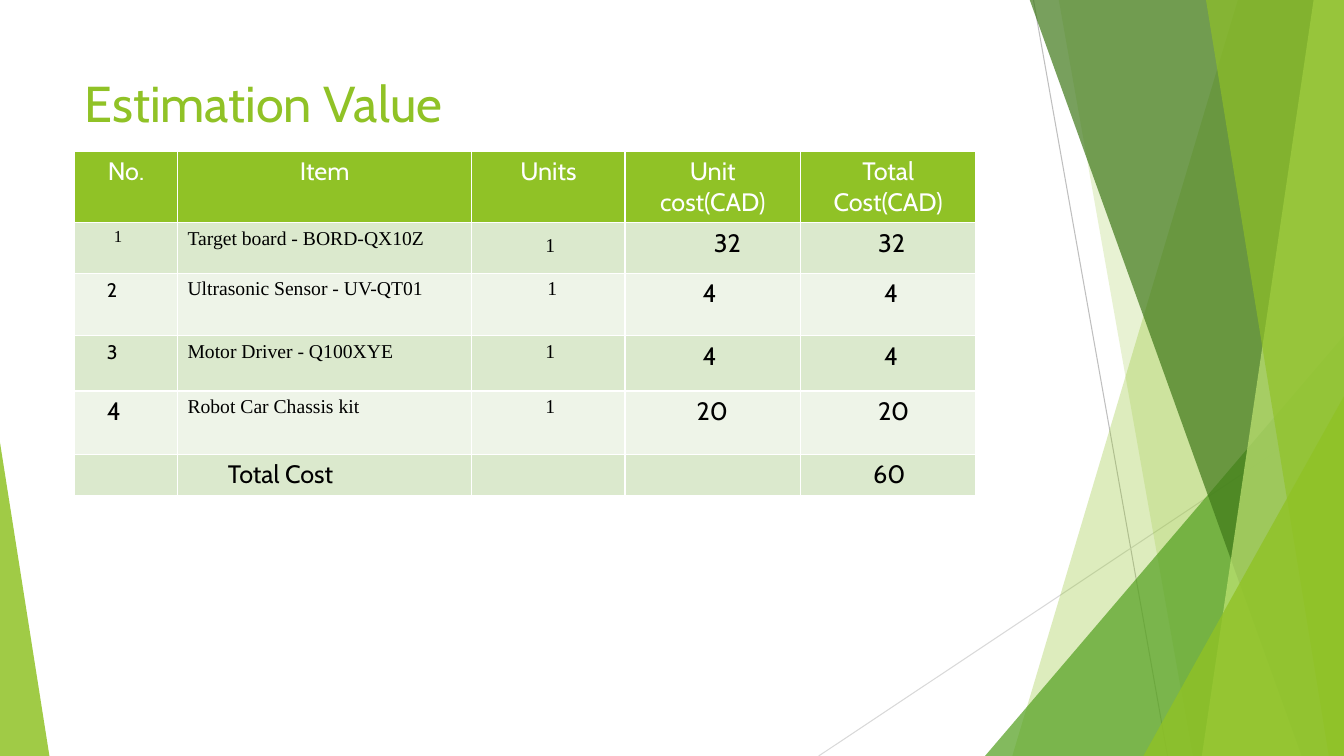
from dataclasses import dataclass

import lxml.etree
import pptx
import pptx.dml.color
import pptx.enum.shapes
import pptx.enum.text
import pptx.oxml.ns
import pptx.util

Inches = pptx.util.Inches
qn = pptx.oxml.ns.qn


@dataclass(frozen=True)
class Theme:
    green: str = "90C226"
    leaf: str = "54A021"
    forest: str = "3F7819"
    lime: str = "C0E474"
    band_dark: str = "DBE9CD"
    band_light: str = "EEF4E8"
    white: str = "FFFFFF"
    black: str = "000000"
    grey: str = "BFBFBF"
    pale_grey: str = "D9D9D9"
    sans: str = "Cabin"
    serif: str = "Times New Roman"
    title: int = 36
    body: int = 18
    item: int = 14
    small: int = 12


THEME = Theme()
WIDTH, HEIGHT, TOP = 13.33, 7.5, -0.01


@dataclass(frozen=True)
class Line:
    start: tuple[float, float]
    end: tuple[float, float]
    color: str


@dataclass(frozen=True)
class Facet:
    """A band from the top edge to the bottom edge, closed along the right side."""
    top_left: float
    bottom_left: float
    color: str
    opacity: int


@dataclass(frozen=True)
class Triangle:
    """A triangle standing on the bottom edge; apex is 0 (left) to 1 (right)."""
    left: float
    top: float
    width: float
    apex: float
    color: str
    opacity: int


@dataclass(frozen=True)
class Entry:
    """Cell text; without an indent it is centred."""
    text: str
    indent: float | None = None
    size: int = THEME.body
    font: str = THEME.sans
    color: str = THEME.black
    top: float = 0.05


LINES = [
    Line((10.25, 0), (11.58, HEIGHT), THEME.grey),
    Line((WIDTH, 4.03), (8.12, HEIGHT), THEME.pale_grey),
]
DECORATIONS = [
    Facet(12.28, 10.04, THEME.green, 30),
    Facet(10.5, 11.83, THEME.green, 20),
    Triangle(9.77, 3.33, 3.56, 1, THEME.leaf, 72),
    Facet(10.21, 12.91, THEME.forest, 70),
    Facet(13.03, 11.92, THEME.lime, 70),
    Facet(11.96, 13.18, THEME.green, 65),
    Triangle(11.34, 3.93, 1.99, 1, THEME.green, 80),
    Triangle(0, 4.39, 0.49, 0, THEME.green, 85),
]

COLUMN_WIDTHS = [1.02, 2.92, 1.52, 1.74, 1.74]
ROW_HEIGHTS = [0.71, 0.5, 0.62, 0.55, 0.63, 0.41]


def item(text: str, indent: float = 0.1, top: float = 0.05) -> Entry:
    return Entry(text, indent, THEME.item, THEME.serif, top=top)


HEADINGS = ["No.", "Item", "Units", "Unit cost(CAD)", "Total Cost(CAD)"]
ROWS: list[list[Entry | None]] = [
    [Entry(heading, color=THEME.white) for heading in HEADINGS],
    [Entry("1", 0.39, THEME.small, THEME.serif), item("Target board - BORD-QX10Z"),
     item("1", 0.73, 0.12), Entry("32", 0.88), Entry("32", 0.77)],
    [Entry("2", 0.32, THEME.item), item("Ultrasonic Sensor - UV-QT01"),
     item("1", 0.75), Entry("4", 0.77), Entry("4", 0.83)],
    [Entry("3", 0.32, THEME.item), item("Motor Driver - Q100XYE"),
     item("1", 0.73), Entry("4", 0.77), Entry("4", 0.83)],
    [Entry("4", 0.32), item("Robot Car Chassis kit"),
     item("1", 0.73), Entry("20", 0.71), Entry("20", 0.77)],
    [None, Entry("Total Cost", 0.5), None, None, Entry("60", 0.72)],
]


def rgb(color: str) -> pptx.dml.color.RGBColor:
    return pptx.dml.color.RGBColor.from_string(color)


def add_run(paragraph, text: str, size: int, font: str, color: str) -> None:
    run = paragraph.add_run()
    run.text = text
    run.font.size = pptx.util.Pt(size)
    run.font.name = font
    run.font.bold = False
    run.font.color.rgb = rgb(color)


def add_line(slide, line: Line) -> None:
    connector = slide.shapes.add_connector(
        pptx.enum.shapes.MSO_CONNECTOR.STRAIGHT,
        *map(Inches, (*line.start, *line.end)))
    connector.line.color.rgb = rgb(line.color)
    connector.line.width = pptx.util.Pt(0.75)
    properties = connector._element.find(qn("p:spPr"))
    lxml.etree.SubElement(properties, qn("a:effectLst"))


def add_decoration(slide, decoration: Facet | Triangle) -> None:
    if isinstance(decoration, Triangle):
        shape = slide.shapes.add_shape(
            pptx.enum.shapes.MSO_SHAPE.ISOSCELES_TRIANGLE,
            Inches(decoration.left), Inches(decoration.top),
            Inches(decoration.width), Inches(HEIGHT - decoration.top))
        shape.adjustments[0] = decoration.apex
    else:
        corners = [(WIDTH, TOP), (WIDTH, HEIGHT), (decoration.bottom_left, HEIGHT)]
        builder = slide.shapes.build_freeform(Inches(decoration.top_left), Inches(TOP))
        builder.add_line_segments([(Inches(x), Inches(y)) for x, y in corners])
        shape = builder.convert_to_shape()
    shape.shadow.inherit = False
    shape.line.fill.background()
    shape.fill.solid()
    shape.fill.fore_color.rgb = rgb(decoration.color)
    color_element = shape._element.find(qn("p:spPr")).find(
        f"{qn('a:solidFill')}/{qn('a:srgbClr')}")
    lxml.etree.SubElement(color_element, qn("a:alpha"),
                          val=str(decoration.opacity * 1000))


def add_title(slide, text: str) -> None:
    box = slide.shapes.add_textbox(Inches(0.74), Inches(0.67), Inches(9.4), Inches(1.44))
    box.text_frame.word_wrap = True
    add_run(box.text_frame.paragraphs[0], text, THEME.title, THEME.sans, THEME.green)


def style_cell(cell, fill: str) -> None:
    """Draw white borders, then the fill, in the order the schema asks for."""
    properties = cell._tc.get_or_add_tcPr()
    for side in "LRTB":
        border = lxml.etree.SubElement(properties, qn(f"a:ln{side}"),
                                       w=str(pptx.util.Pt(1)))
        solid = lxml.etree.SubElement(border, qn("a:solidFill"))
        lxml.etree.SubElement(solid, qn("a:srgbClr"), val=THEME.white)
    cell.fill.solid()
    cell.fill.fore_color.rgb = rgb(fill)


def fill_cell(cell, entry: Entry) -> None:
    paragraph = cell.text_frame.paragraphs[0]
    cell.margin_top = Inches(entry.top)
    if entry.indent is None:
        paragraph.alignment = pptx.enum.text.PP_ALIGN.CENTER
    else:
        cell.margin_left = Inches(entry.indent)
    add_run(paragraph, entry.text, entry.size, entry.font, entry.color)


def add_cost_table(slide) -> None:
    table = slide.shapes.add_table(
        len(ROWS), len(COLUMN_WIDTHS), Inches(0.74), Inches(1.5),
        Inches(sum(COLUMN_WIDTHS)), Inches(sum(ROW_HEIGHTS))).table
    table.first_row = table.horz_banding = False
    for column, width in zip(table.columns, COLUMN_WIDTHS):
        column.width = Inches(width)
    bands = [THEME.band_light, THEME.band_dark]
    for index, (row, height, entries) in enumerate(zip(table.rows, ROW_HEIGHTS, ROWS)):
        row.height = Inches(height)
        for cell, entry in zip(row.cells, entries):
            style_cell(cell, bands[index % 2] if index else THEME.green)
            if entry:
                fill_cell(cell, entry)


def main() -> None:
    presentation = pptx.Presentation()
    presentation.slide_width = Inches(WIDTH)
    presentation.slide_height = Inches(HEIGHT)
    slide = presentation.slides.add_slide(presentation.slide_layouts[6])
    for line in LINES:
        add_line(slide, line)
    for decoration in DECORATIONS:
        add_decoration(slide, decoration)
    add_title(slide, "Estimation Value")
    add_cost_table(slide)
    presentation.save("out.pptx")


if __name__ == "__main__":
    main()
